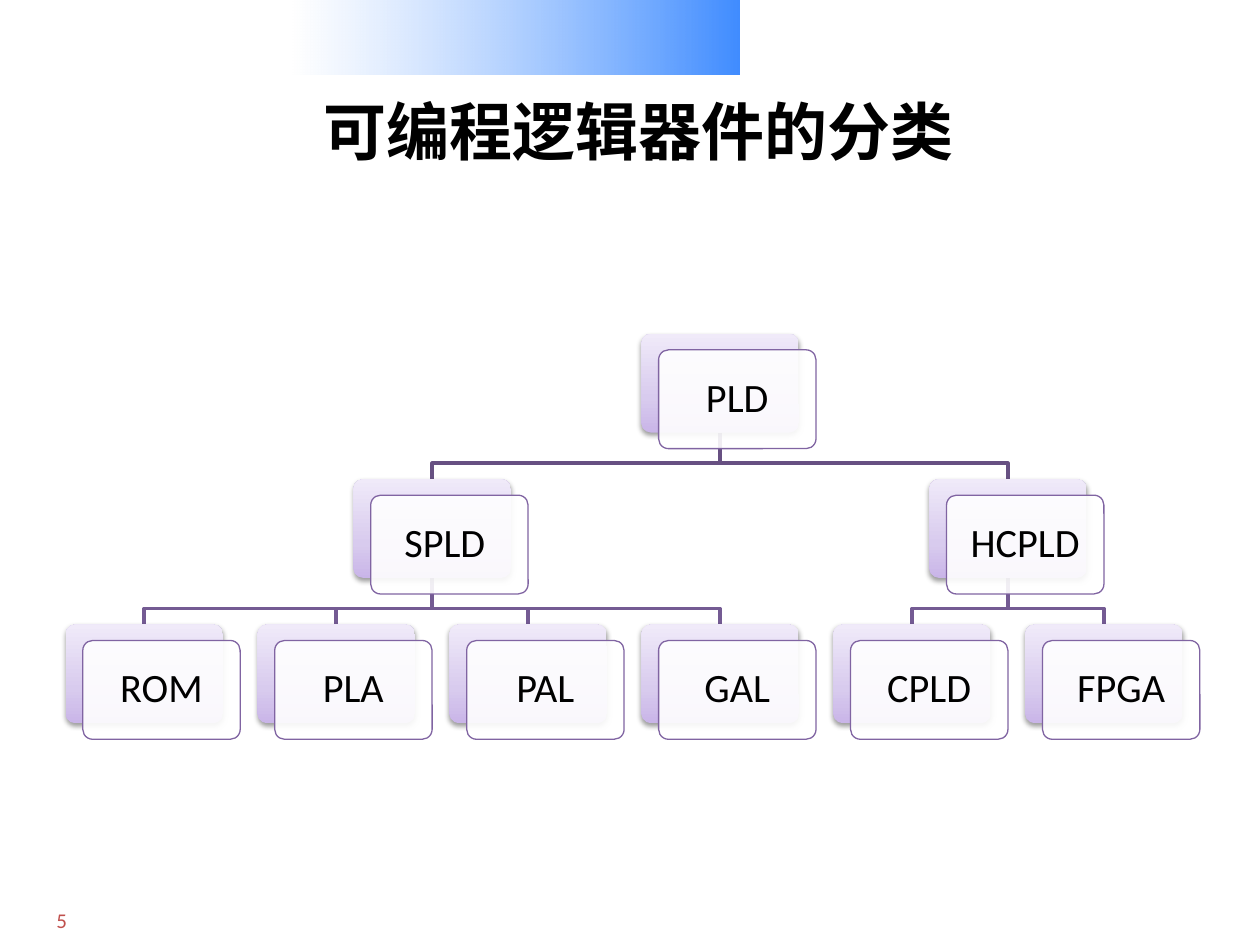
from dataclasses import dataclass
from lxml import etree
from pptx import Presentation
from pptx.dml.color import RGBColor
from pptx.enum.shapes import MSO_SHAPE
from pptx.enum.text import MSO_ANCHOR, PP_ALIGN
from pptx.oxml.ns import qn
from pptx.util import Inches, Pt

RECTANGLE = MSO_SHAPE.RECTANGLE
ROUNDED = MSO_SHAPE.ROUNDED_RECTANGLE
MIDDLE = MSO_ANCHOR.MIDDLE
CENTER, LEFT = PP_ALIGN.CENTER, PP_ALIGN.LEFT


@dataclass(frozen=True)
class Theme:
    latin: str = "Calibri"
    chinese: str = "Noto Sans CJK SC"
    ink: str = "000000"
    accent: str = "C0504D"
    paper: str = "FFFFFF"
    outline: str = "8064A2"
    links: tuple = ("675082", "745B93")
    card_stops: tuple = ((0, "C9B5E8", 100), (35, "D8CBEE", 100), (100, "F0EAF9", 100))
    banner_stops: tuple = ((0, "FFFFFF", 48), (100, "0066FF", 75))
    title_size: int = 36
    node_size: int = 23
    number_size: int = 12


@dataclass(frozen=True)
class Box:
    left: float
    top: float
    width: float
    height: float

    def emu(self):
        return [Inches(side) for side in (self.left, self.top, self.width, self.height)]


THEME = Theme()
WIDTH, HEIGHT = 10, 7.5
COLUMNS, ROWS = 6, 3
NODE_WIDTH, NODE_HEIGHT = 0.82, 0.68
SHIFT_X, SHIFT_Y = 0.09, 0.11
BUS_DROP = 0.21
TREE = ("PLD", [
    ("SPLD ", [("ROM", []), ("PLA", []), ("PAL", []), ("GAL", [])]),
    ("HCPLD", [("CPLD", []), ("FPGA", [])]),
])


def add_child(parent, tag, **attributes):
    return etree.SubElement(parent, qn(tag), {key: str(value) for key, value in attributes.items()})


def add_color(parent, color, opacity):
    add_child(add_child(parent, "a:srgbClr", val=color), "a:alpha", val=opacity * 1000)


def set_gradient(shape, stops, angle):
    shape.fill.gradient()
    gradient = shape._element.spPr.find(qn("a:gradFill"))
    for child in list(gradient):
        gradient.remove(child)
    stop_list = add_child(gradient, "a:gsLst")
    for position, color, opacity in stops:
        add_color(add_child(stop_list, "a:gs", pos=position * 1000), color, opacity)
    add_child(gradient, "a:lin", ang=angle * 60000, scaled=0)


def add_panel(page, kind, box):
    shape = page.shapes.add_shape(kind, *box.emu())
    shape.shadow.inherit = False
    shape.line.fill.background()
    if kind == ROUNDED:
        shape.adjustments[0] = 0.1
    return shape


def write(shape, text, font, size, color, align, bold=False):
    frame = shape.text_frame
    frame.word_wrap = True
    frame.vertical_anchor = MIDDLE
    frame.text = text
    para = frame.paragraphs[0]
    para.alignment = align
    span = para.runs[0]
    span.font.name = font
    span.font.size = Pt(size)
    span.font.bold = bold
    span.font.color.rgb = RGBColor.from_string(color)
    add_child(span._r.get_or_add_rPr(), "a:ea", typeface=font)
    return para


def add_banner(page, box):
    set_gradient(add_panel(page, RECTANGLE, box), THEME.banner_stops, 0)


def add_title(page, box):
    title = page.shapes.add_textbox(*box.emu())
    write(title, " 可编程逻辑器件的分类", THEME.chinese, THEME.title_size, THEME.ink, CENTER, True)


def add_page_number(page, box):
    number = page.shapes.add_textbox(*box.emu())
    write(number, "5", THEME.latin, THEME.number_size, THEME.accent, LEFT)


def add_node(page, box, cell, label):
    back = add_panel(page, ROUNDED, box)
    set_gradient(back, THEME.card_stops, 270)
    effects = back._element.spPr.find(qn("a:effectLst"))
    shadow = add_child(effects, "a:outerShdw", blurRad=Pt(3.1), dist=Pt(1.6),
                       dir=90 * 60000, rotWithShape=0)
    add_color(shadow, "000000", 38)

    front = add_panel(page, ROUNDED, Box(box.left + SHIFT_X * cell.width,
                                         box.top + SHIFT_Y * cell.height,
                                         box.width, box.height))
    front.fill.solid()
    front.fill.fore_color.rgb = RGBColor.from_string(THEME.paper)
    paint = front._element.spPr.find(qn("a:solidFill"))
    add_child(paint[0], "a:alpha", val=90000)
    front.line.color.rgb = RGBColor.from_string(THEME.outline)
    front.line.width = Pt(0.75)
    para = write(front, label, THEME.latin, THEME.node_size, THEME.ink, CENTER)
    para.line_spacing = 0.9


def add_link(page, parent, child, drop, color):
    start_x = Inches(parent.left + parent.width / 2)
    end_x = Inches(child.left + child.width / 2)
    start_y = Inches(parent.top + parent.height)
    bus_y = start_y + Inches(drop)
    builder = page.shapes.build_freeform(start_x, start_y)
    builder.add_line_segments([(start_x, bus_y), (end_x, bus_y), (end_x, Inches(child.top))], close=False)
    link = builder.convert_to_shape()
    link.shadow.inherit = False
    link.fill.background()
    link.line.color.rgb = RGBColor.from_string(color)
    link.line.width = Pt(2)


def arrange(tree, depth=0, first=0):
    label, children = tree
    placed, column = [], first
    heads = []
    for child in children:
        branch = arrange(child, depth + 1, column)
        heads.append(branch[0])
        placed += branch
        column += sum(not node[3] for node in branch)
    center = (heads[0][1] + heads[-1][1]) / 2 if heads else first
    return [(label, center, depth, heads)] + placed


def add_tree(page, box):
    cell = Box(0, 0, box.width / COLUMNS, box.height / ROWS)

    def node_box(node):
        return Box(box.left + node[1] * cell.width, box.top + node[2] * cell.height,
                   NODE_WIDTH * cell.width, NODE_HEIGHT * cell.height)

    nodes = arrange(TREE)
    for node in nodes:
        for child in node[3]:
            add_link(page, node_box(node), node_box(child), BUS_DROP * cell.height, THEME.links[node[2]])
    for node in nodes:
        add_node(page, node_box(node), cell, node[0])


def main():
    deck = Presentation()
    deck.slide_width, deck.slide_height = Inches(WIDTH), Inches(HEIGHT)
    page = deck.slides.add_slide(deck.slide_layouts[6])
    add_banner(page, Box(2.32, 0, 3.55, 0.59))
    add_page_number(page, Box(0.35, 7.15, 0.47, 0.3))
    add_title(page, Box(1.85, 0.68, 6.33, 0.71))
    add_tree(page, Box(0.52, 2.65, 9.14, 3.46))
    deck.save("out.pptx")


if __name__ == "__main__":
    main()
